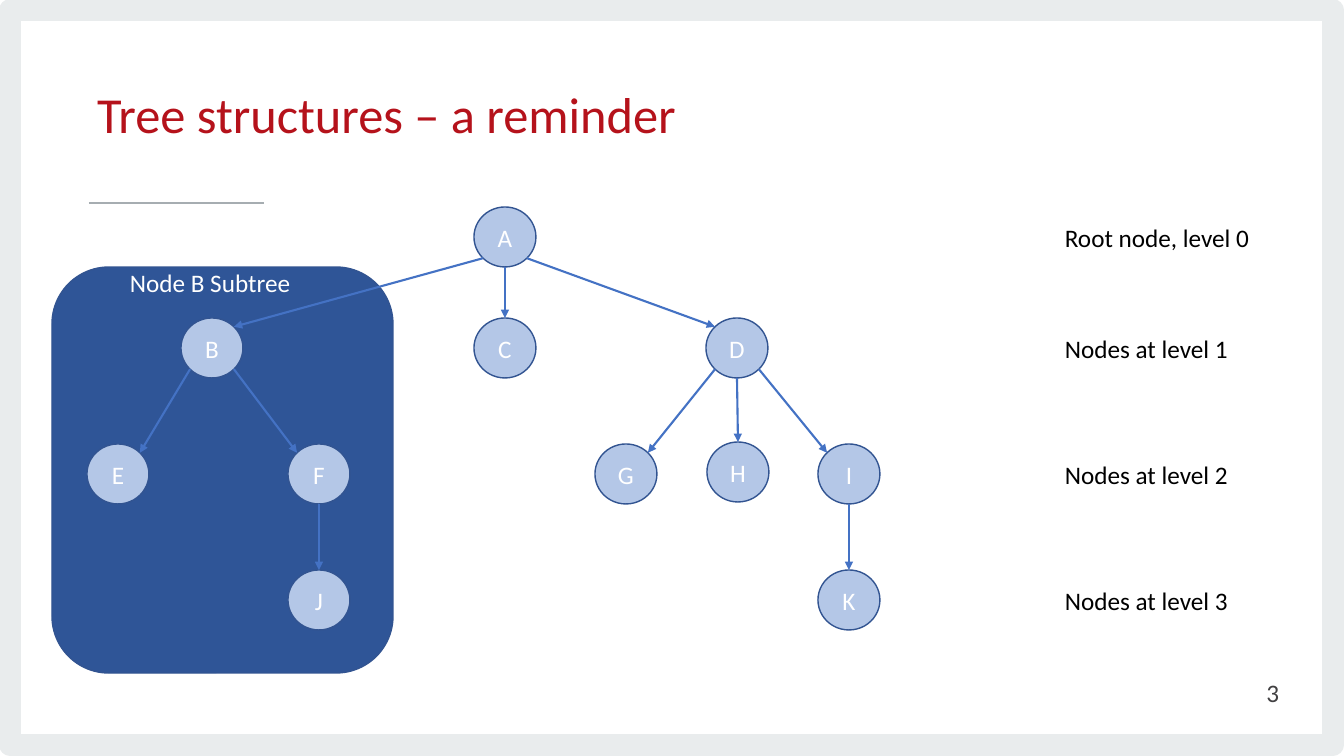
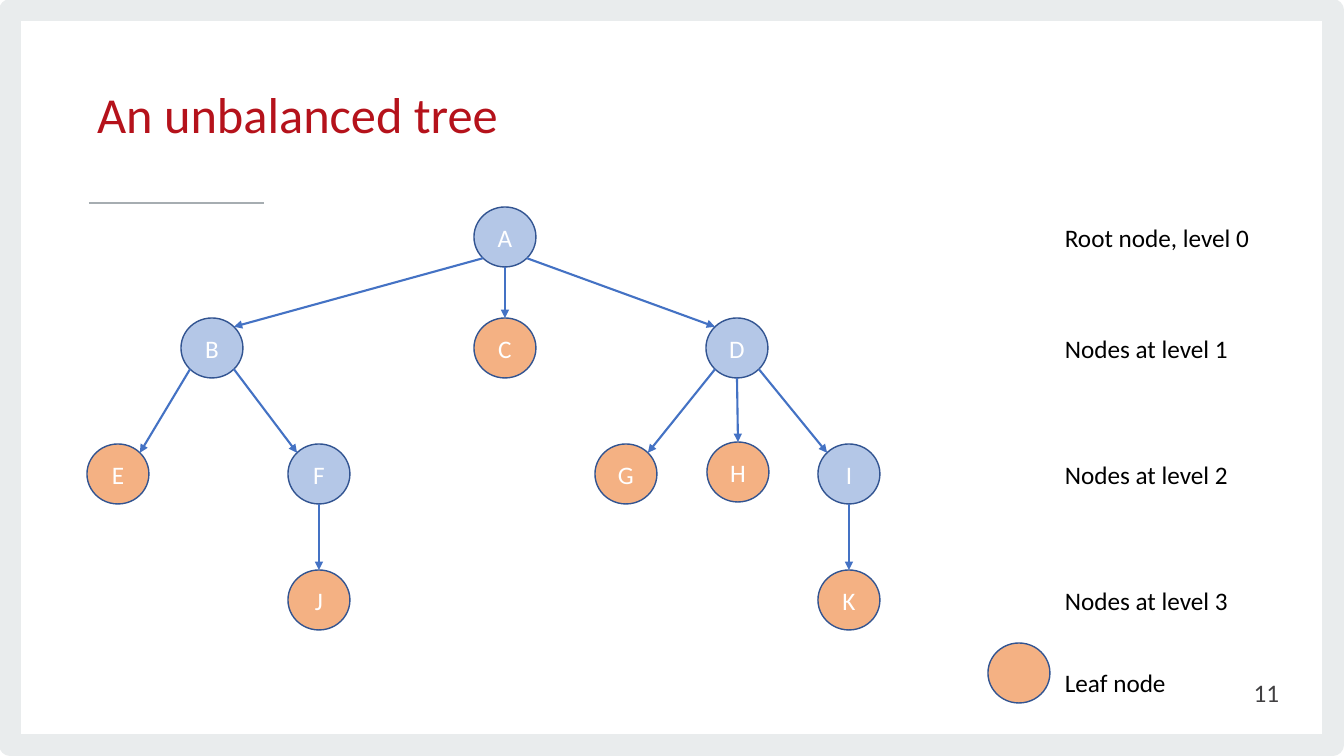
"""Build two slides that show a tree, its levels, a subtree and its leaf nodes."""
from math import sqrt

from lxml.etree import SubElement
from pptx import Presentation
from pptx.dml.color import RGBColor
from pptx.enum.shapes import MSO_CONNECTOR as CONN, MSO_SHAPE as SHAPE
from pptx.enum.text import MSO_ANCHOR as ANCHOR, MSO_AUTO_SIZE as FIT, PP_ALIGN as ALIGN
from pptx.oxml.ns import qn
from pptx.util import Pt

FONT = "Calibri"
RED, GREY, BLACK, WHITE = "B5121B", "414042", "000000", "FFFFFF"
FRAME, RULE = "E9ECED", "A6ADB1"
NODE, LEAF, OUTLINE, ARROW, SUBTREE = "B4C7E7", "F4B183", "325491", "4472C4", "2F5597"

LEVEL_TOPS = [207, 318, 444, 570]
LEVELS = ["Root node, level 0", "Nodes at level 1", "Nodes at level 2", "Nodes at level 3"]
NODE_W, NODE_H = 62, 60
LABEL_X, LABEL_W, LABEL_H = 1055, 210, 40
NODES = {
    "A": (474, LEVEL_TOPS[0]),
    "B": (181, LEVEL_TOPS[1]), "C": (474, LEVEL_TOPS[1]), "D": (706, LEVEL_TOPS[1]),
    "E": (87, LEVEL_TOPS[2]), "F": (288, LEVEL_TOPS[2]), "G": (595, LEVEL_TOPS[2]),
    "H": (707, LEVEL_TOPS[2] - 2), "I": (818, LEVEL_TOPS[2]),
    "J": (288, LEVEL_TOPS[3]), "K": (818, LEVEL_TOPS[3]),
}
CHILDREN = {"A": "BCD", "B": "EF", "D": "GHI", "F": "J", "I": "K"}
SLIDES = [
    {"title": "Tree structures – a reminder", "number": 3, "subtree": "Node B Subtree"},
    {"title": "An unbalanced tree", "number": 11, "leaf": "Leaf node"},
]


def px(n):
    return round(n * 914400 / 100.8)


def rgb(color):
    return RGBColor.from_string(color)


def style_text(p, size, color, align=ALIGN.LEFT):
    p.alignment = align
    p.font.name, p.font.size, p.font.color.rgb = FONT, Pt(size), rgb(color)


def add_shape(s, kind, box, fill, line, width=1.0):
    sp = s.shapes.add_shape(kind, *map(px, box))
    sp.shadow.inherit = False
    if fill:
        sp.fill.solid()
        sp.fill.fore_color.rgb = rgb(fill)
    else:
        sp.fill.background()
    sp.line.color.rgb, sp.line.width = rgb(line), Pt(width)
    return sp


def add_line(s, start, end, color, width, arrow=False):
    cx = s.shapes.add_connector(CONN.STRAIGHT, *map(px, (*start, *end)))
    cx.line.color.rgb, cx.line.width = rgb(color), Pt(width)
    if arrow:
        SubElement(cx.line._get_or_add_ln(), qn("a:tailEnd"), type="triangle")
    SubElement(cx.element.spPr, qn("a:effectLst"))
    return cx


def add_label(s, text, box, color=BLACK, align=ALIGN.LEFT):
    tf = s.shapes.add_textbox(*map(px, box)).text_frame
    tf.word_wrap, tf.vertical_anchor = True, ANCHOR.MIDDLE
    tf.text = text
    style_text(tf.paragraphs[0], 18, color, align)


def add_node(s, pos, fill, name=""):
    sp = add_shape(s, SHAPE.OVAL, (*pos, NODE_W, NODE_H), fill, OUTLINE)
    if name:
        sp.text_frame.text = name
        style_text(sp.text_frame.paragraphs[0], 18, WHITE, ALIGN.CENTER)


def add_edge(s, parent, child):
    (x1, y1), (x2, y2) = NODES[parent], NODES[child]
    rx, ry = NODE_W / 2, NODE_H / 2
    side = 0 if abs(x2 - x1) < rx else (1 if x2 > x1 else -1)
    dx = side * rx / sqrt(2)
    dy = ry / sqrt(2) if side else ry
    add_line(s, (x1 + rx + dx, y1 + ry + dy), (x2 + rx - dx, y2 + ry - dy), ARROW, 1.5, True)


def add_tree(s, leaf_fill):
    for name, pos in NODES.items():
        add_node(s, pos, NODE if name in CHILDREN else leaf_fill, name)
    for parent, children in CHILDREN.items():
        for child in children:
            add_edge(s, parent, child)
    for text, top in zip(LEVELS, LEVEL_TOPS):
        add_label(s, text, (LABEL_X, top + 10, LABEL_W, LABEL_H))


def decorate_layout(layout, s):
    parts = [
        add_shape(s, SHAPE.RECTANGLE, (10, 10, 1323, 735), None, FRAME, 15.11),
        add_line(s, (89, 203), (264, 203), RULE, 1.33),
    ]
    for i, part in enumerate(parts):
        part.element.xpath("./*/p:cNvPr")[0].set("id", str(100 + i))
        layout.shapes.element.append(part.element)


def add_title(s, text):
    sp = s.shapes.title
    sp.left, sp.top, sp.width, sp.height = map(px, (87, 52, 886, 135))
    tf = sp.text_frame
    tf.text = text
    tf.vertical_anchor, tf.auto_size = ANCHOR.MIDDLE, FIT.NONE
    p = tf.paragraphs[0]
    p.line_spacing = Pt(34.7)
    style_text(p, 36, RED)


def main():
    prs = Presentation()
    prs.slide_width, prs.slide_height = px(1344), px(756)
    layout = prs.slide_layouts.get_by_name("Title Only")
    for i, page in enumerate(SLIDES):
        s = prs.slides.add_slide(layout)
        if i == 0:
            decorate_layout(layout, s)
        if "subtree" in page:
            add_shape(s, SHAPE.ROUNDED_RECTANGLE, (52, 267, 341, 406), SUBTREE, OUTLINE)
        add_title(s, page["title"])
        add_label(s, str(page["number"]), (987, 672, 302, 40), GREY, ALIGN.RIGHT)
        add_tree(s, LEAF if "leaf" in page else NODE)
        if "subtree" in page:
            add_label(s, page["subtree"], (120, 262, 183, LABEL_H), WHITE)
        if "leaf" in page:
            add_node(s, (988, 643), LEAF)
            add_label(s, page["leaf"], (LABEL_X, 662, 123, LABEL_H))
    prs.save("out.pptx")


if __name__ == "__main__":
    main()
